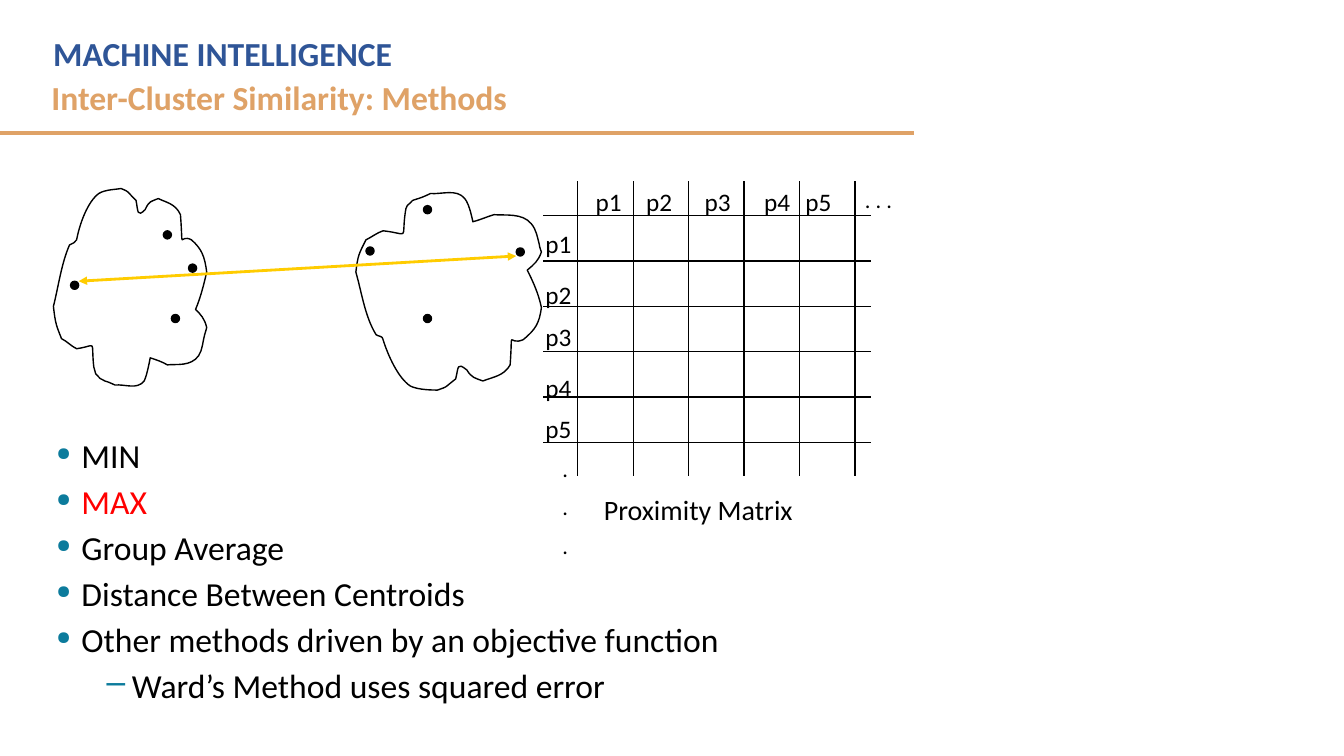
from dataclasses import dataclass
from typing import NamedTuple

from lxml.etree import SubElement
from pptx import Presentation
from pptx.dml.color import RGBColor
from pptx.enum.shapes import MSO_CONNECTOR, MSO_SHAPE
from pptx.enum.text import MSO_ANCHOR, MSO_AUTO_SIZE, PP_ALIGN
from pptx.oxml.ns import qn
from pptx.util import Inches, Pt

# The slide is a grid of 1333 columns by 750 rows
CELL = Inches(0.01)
COLS, ROWS = 1333, 750


@dataclass(frozen=True)
class Theme:
    font: str = "Calibri"
    ink: str = "000000"
    blue: str = "2F5597"
    sand: str = "DFA267"
    teal: str = "0C7B9C"
    red: str = "FF0000"
    gold: str = "FFCC00"
    head: int = 24
    note: int = 20
    label: int = 18
    dots: int = 16


THEME = Theme()


class Label(NamedTuple):
    lines: tuple[str, ...]
    x: int
    y: int
    w: int
    h: int
    size: int
    color: str = THEME.ink
    bold: bool = False
    gap: int = 0


class Line(NamedTuple):
    x1: int
    y1: int
    x2: int
    y2: int
    color: str = THEME.ink
    width: float = 0.95
    arrows: bool = False


class Point(NamedTuple):
    x: int
    y: int


class Item(NamedTuple):
    text: str
    color: str = THEME.ink
    sub: bool = False


# Cluster outlines: a start point, then three points per curve
LEFT = """69,243 61,261 58,284 53,304 55,322 56,323 61,336 67,339 70,343 76,346
97,343 90,336 93,364 94,366 94,369 95,371 102,378 97,374 104,378
108,379 114,382 114,382 124,381 136,387 143,378 146,372 149,355 149,355
155,357 161,359 166,362 175,361 189,364 197,353 201,347 201,339 203,332
204,329 205,325 205,325 203,316 199,312 194,307 199,295 202,283 205,270
203,254 200,247 190,238 177,231 182,253 179,213 174,202 165,201 157,197
150,200 148,199 144,208 136,216 137,210 135,199 124,188 129,191 120,187
116,188 104,188 98,192 87,200 79,222 76,238 75,241 72,241 69,243"""
RIGHT = """373,332 362,314 359,291 353,270 355,253 356,252 363,238 369,235 374,231 380,229
407,232 398,239 402,211 402,208 403,206 404,204 412,197 406,200 415,197
419,196 427,192 427,192 438,193 453,187 461,197 466,203 469,220 469,220
477,218 483,215 490,213 501,214 518,211 527,222 532,228 533,235 535,243
535,245 537,250 537,250 534,259 530,262 523,268 529,280 534,291 537,305
535,321 531,327 519,337 503,344 509,322 506,362 500,373 489,374 479,378
471,375 468,375 463,367 453,359 455,364 452,376 439,386 445,383 434,387
430,387 415,387 407,383 395,375 385,353 380,337 380,333 375,334 373,332"""

SPOTS = [Point(170, 312), Point(162, 229), Point(70, 279), Point(187, 262),
         Point(512, 246), Point(363, 245), Point(420, 312), Point(420, 204)]

# Proximity matrix: six rules each way, labels beside them
RULES = [Line(573 + 55 * i, 180, 573 + 55 * i, 472) for i in range(6)]
RULES += [Line(539, 214 + 45 * i, 864, 214 + 45 * i) for i in range(6)]
TOPS = (581, 631, 689, 748, 789)
SIDES = (222, 272, 314, 364, 405)
LABELS = [Label((f"p{n}",), x, 180, 58, 33, THEME.label)
          for n, x in enumerate(TOPS, 1)]
LABELS += [Label((f"p{n}",), 531, y, 58, 33, THEME.label)
           for n, y in enumerate(SIDES, 1)]
LABELS += [
    Label((". . .",), 848, 180, 58, 37, THEME.dots),
    Label((".",) * 3, 548, 447, 58, 117, THEME.dots, gap=8),
    Label(("Proximity Matrix",), 589, 484, 275, 43, THEME.note),
    Label(("MACHINE INTELLIGENCE",), 43, 28, 820, 50, THEME.head, THEME.blue, True),
]
TITLE = Label(("Inter-Cluster Similarity: Methods",), 41, 71, 875, 50,
              THEME.head, THEME.sand, True)

ITEMS = [Item("MIN"), Item("MAX", THEME.red), Item("Group Average"),
         Item("Distance Between Centroids"),
         Item("Other methods driven by an objective function"),
         Item("Ward’s Method uses squared error", sub=True)]


def style(para, size: int, color: str, bold: bool = False) -> None:
    font = para.font
    font.name, font.size, font.bold = THEME.font, Pt(size), bold
    font.color.rgb = RGBColor.from_string(color)


def write(shape, label: Label) -> None:
    shape.left, shape.top = label.x * CELL, label.y * CELL
    shape.width, shape.height = label.w * CELL, label.h * CELL
    frame = shape.text_frame
    frame.word_wrap = True
    frame.auto_size = MSO_AUTO_SIZE.NONE
    frame.vertical_anchor = MSO_ANCHOR.TOP
    for n, text in enumerate(label.lines):
        para = frame.add_paragraph() if n else frame.paragraphs[0]
        para.text = text
        para.alignment = PP_ALIGN.LEFT
        para.space_before = Pt(label.gap if n else 0)
        style(para, label.size, label.color, label.bold)


def rule(slide, line: Line) -> None:
    ends = [v * CELL for v in line[:4]]
    link = slide.shapes.add_connector(MSO_CONNECTOR.STRAIGHT, *ends)
    link.line.color.rgb = RGBColor.from_string(line.color)
    link.line.width = Pt(line.width)
    if line.arrows:
        for tag in ("a:headEnd", "a:tailEnd"):
            SubElement(link.line._get_or_add_ln(), qn(tag), type="triangle")
    SubElement(link._element.spPr, qn("a:effectLst"))


def ink(shape) -> None:
    shape.shadow.inherit = False
    shape.line.color.rgb = RGBColor.from_string(THEME.ink)
    shape.line.width = Pt(1)


def blob(slide, data: str) -> None:
    nodes = [tuple(map(int, pair.split(","))) for pair in data.split()]
    pen = slide.shapes.build_freeform(*nodes[0], scale=float(CELL))
    pen.add_line_segments(nodes[1:], close=True)
    shape = pen.convert_to_shape()
    # Join each three straight steps into one curve
    steps = list(shape._element.iter(qn("a:lnTo")))
    for n in range(0, len(steps), 3):
        curve = steps[n].makeelement(qn("a:cubicBezTo"))
        steps[n].addprevious(curve)
        for step in steps[n:n + 3]:
            curve.append(step[0])
            step.getparent().remove(step)
    shape.fill.background()
    ink(shape)


def spot(slide, at: Point) -> None:
    shape = slide.shapes.add_shape(MSO_SHAPE.OVAL, at.x * CELL, at.y * CELL,
                                   8 * CELL, 8 * CELL)
    shape.fill.solid()
    shape.fill.fore_color.rgb = RGBColor.from_string(THEME.ink)
    ink(shape)


def bullets(slide, items: list[Item]) -> None:
    box = slide.shapes.add_textbox(46 * CELL, 427 * CELL, 862 * CELL, 309 * CELL)
    frame = box.text_frame
    frame.word_wrap = True
    for n, item in enumerate(items):
        para = frame.add_paragraph() if n else frame.paragraphs[0]
        para.text = item.text
        para.level = int(item.sub)
        para.space_before, para.space_after = Pt(2 if n else 0), Pt(2)
        props = para._p.get_or_add_pPr()
        props.set("marL", str((75 if item.sub else 25) * CELL))
        props.set("indent", str(-25 * CELL))
        tint = SubElement(props, qn("a:buClr"))
        SubElement(tint, qn("a:srgbClr"), val=THEME.teal)
        SubElement(props, qn("a:buSzPct"), val="100000" if item.sub else "55000")
        SubElement(props, qn("a:buChar"), char="–" if item.sub else "●")
        style(para, THEME.head, item.color)


def main() -> None:
    deck = Presentation()
    deck.slide_width, deck.slide_height = COLS * CELL, ROWS * CELL
    slide = deck.slides.add_slide(deck.slide_layouts[5])

    # Heading and list
    write(slide.shapes.title, TITLE)
    rule(slide, Line(-1, 132, 907, 132, THEME.sand, 3))
    bullets(slide, ITEMS)

    # Matrix
    for line in RULES:
        rule(slide, line)
    for label in LABELS:
        write(slide.shapes.add_textbox(0, 0, 0, 0), label)

    # Clusters and their farthest pair
    for data in (LEFT, RIGHT):
        blob(slide, data)
    for at in SPOTS:
        spot(slide, at)
    rule(slide, Line(78, 279, 512, 254, THEME.gold, 2, True))

    deck.save("out.pptx")


if __name__ == "__main__":
    main()
